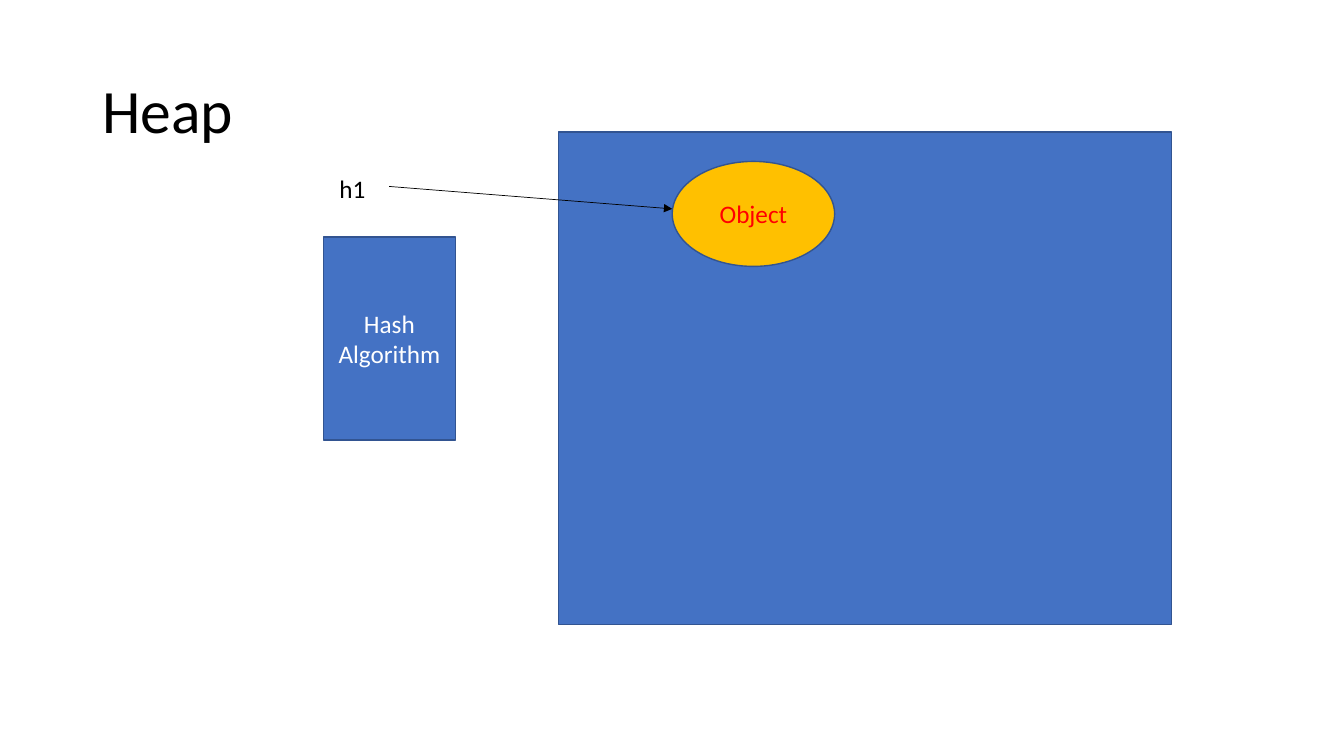
from dataclasses import dataclass

from lxml.etree import SubElement
from pptx import Presentation
from pptx.dml.color import RGBColor
from pptx.enum.shapes import MSO_CONNECTOR as Connector, MSO_SHAPE as Shape
from pptx.enum.text import MSO_ANCHOR as Anchor, PP_ALIGN as Align
from pptx.oxml.ns import qn
from pptx.util import Pt


@dataclass(frozen=True)
class Theme:
    font: str = "Calibri"
    title_size: float = 44
    body_size: float = 18
    ink: str = "000000"
    light: str = "FFFFFF"
    memory: str = "4472C4"
    outline: str = "325491"
    instance: str = "FFC000"
    accent: str = "FF0000"


def write_text(frame, text, *, font, size, color, align=Align.LEFT,
               anchor=Anchor.TOP, spacing=1.0):
    frame.word_wrap = True
    frame.vertical_anchor = anchor
    frame.text = text
    for paragraph in frame.paragraphs:
        paragraph.alignment = align
        paragraph.line_spacing = spacing
        for run in paragraph.runs:
            run.font.name = font
            run.font.size = Pt(size)
            run.font.color.rgb = RGBColor.from_string(color)


class SlideBuilder:
    def __init__(self, slide, theme):
        self.slide = slide
        self.theme = theme

    def label(self, bounds, text, size, **text_format):
        box = self.slide.shapes.add_textbox(*map(Pt, bounds))
        write_text(box.text_frame, text, font=self.theme.font, size=size,
                   color=self.theme.ink, **text_format)

    def block(self, kind, bounds, fill, text="", color=None):
        block = self.slide.shapes.add_shape(kind, *map(Pt, bounds))
        block.shadow.inherit = False
        block.fill.solid()
        block.fill.fore_color.rgb = RGBColor.from_string(fill)
        block.line.color.rgb = RGBColor.from_string(self.theme.outline)
        block.line.width = Pt(1)
        if text:
            write_text(block.text_frame, text, font=self.theme.font,
                       size=self.theme.body_size, color=color,
                       align=Align.CENTER, anchor=Anchor.MIDDLE)

    def arrow(self, start, end):
        arrow = self.slide.shapes.add_connector(
            Connector.STRAIGHT, *map(Pt, start + end))
        arrow.line.color.rgb = RGBColor.from_string(self.theme.ink)
        arrow.line.width = Pt(0.5)
        SubElement(arrow.line._get_or_add_ln(), qn("a:tailEnd"), type="triangle")
        SubElement(arrow._element.spPr, qn("a:effectLst"))


def main():
    deck = Presentation()
    deck.slide_width, deck.slide_height = Pt(960), Pt(540)
    theme = Theme()
    heap_slide = SlideBuilder(deck.slides.add_slide(deck.slide_layouts[6]), theme)

    heap_slide.label((66, 28.8, 828, 104.4), "Heap", theme.title_size,
                     anchor=Anchor.MIDDLE, spacing=0.9)
    heap_slide.block(Shape.RECTANGLE, (399, 94.3, 437.8, 352), theme.memory)
    heap_slide.block(Shape.OVAL, (480.2, 115.3, 116, 75), theme.instance,
                     "Object", theme.accent)
    heap_slide.block(Shape.RECTANGLE, (231, 169.2, 94.4, 145), theme.memory,
                     "Hash\nAlgorithm", theme.light)
    heap_slide.label((235.4, 120.2, 35.3, 29), "h1", theme.body_size)
    heap_slide.arrow((278, 133.2), (480.2, 149.2))

    deck.save("out.pptx")


if __name__ == "__main__":
    main()
